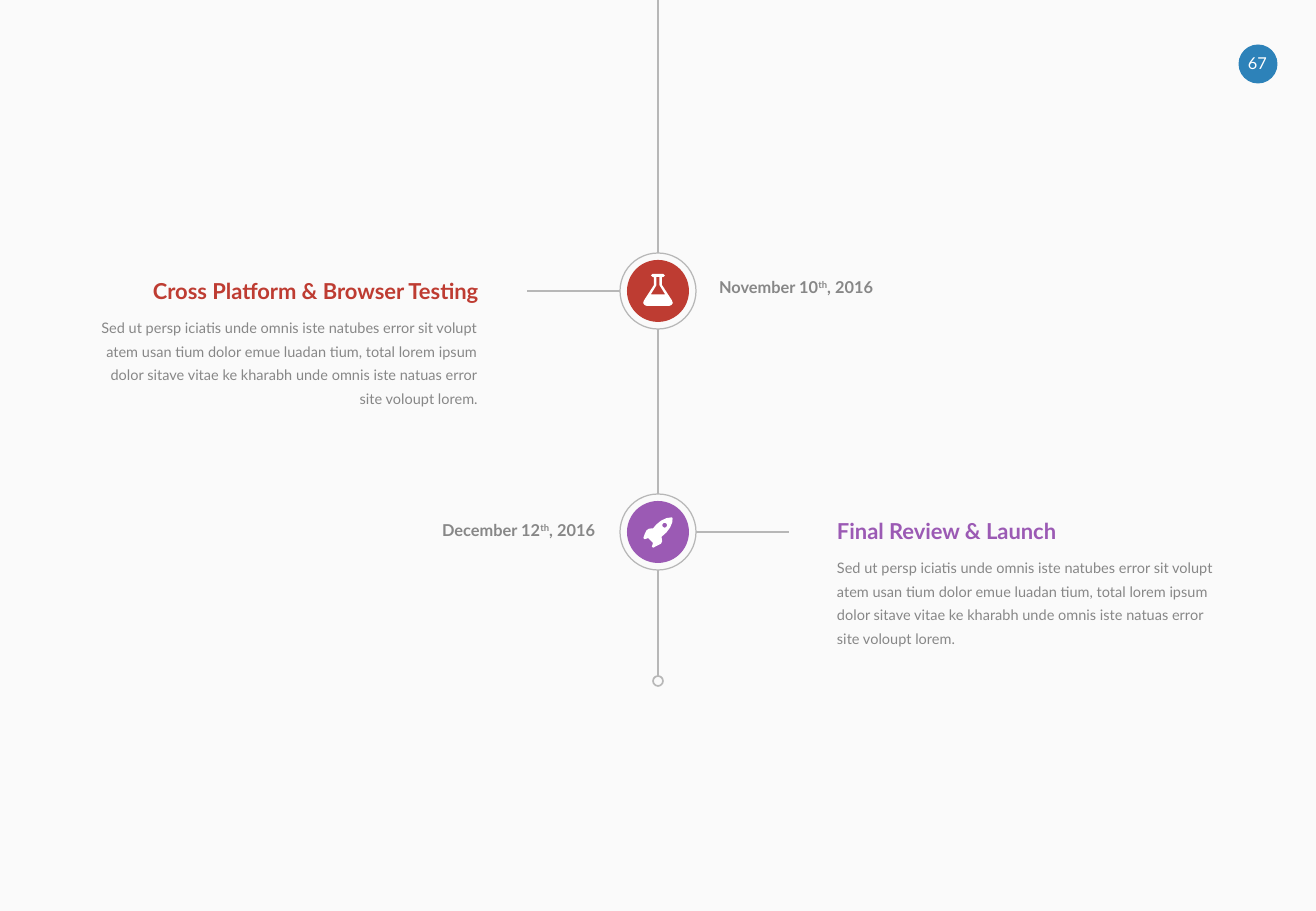
from math import cos, pi, sin

from lxml.etree import SubElement
from pptx import Presentation
from pptx.dml.color import RGBColor
from pptx.enum.shapes import MSO_CONNECTOR, MSO_SHAPE
from pptx.enum.text import PP_ALIGN
from pptx.oxml.ns import qn
from pptx.util import Pt

PX = 914400 / 121.5
COLORS = {
    "page": "FAFAFA",
    "white": "FFFFFF",
    "badge": "2D82B9",
    "line": "B7B7B7",
    "gray": "878787",
    "red": "BE3C32",
    "purple": "9B5AB4",
}
AXIS = 658
RING = 76
DISC = 62
END_DOT = 10
BODY = (
    "Sed ut persp iciatis unde omnis iste natubes error sit volupt atem usan tium "
    "dolor emue luadan tium, total lorem ipsum dolor sitave vitae ke kharabh unde "
    "omnis iste natuas error site voloupt lorem."
)


def px(length):
    return round(length * PX)


def color(name):
    return RGBColor.from_string(COLORS[name])


def mirrored(half):
    return half + [(-x, y) for x, y in reversed(half)]


FLASK = [
    mirrored([(55, -170), (70, -155), (55, -140), (40, -138), (40, -60),
              (140, 95), (148, 120), (135, 140), (115, 148)]),
    mirrored([(15, -140), (15, -60), (20, -50), (72, 35)]),
]
ROCKET = [
    [(36, 49), (85, 5), (122, -45), (143, -95), (146, -134), (140, -146),
     (85, -138), (30, -112), (-15, -75), (-49, -36), (-90, -33), (-115, -15),
     (-132, 20), (-146, 61), (-134, 73), (-97, 61), (-49, 109), (-61, 146),
     (-49, 158), (0, 133), (30, 118), (42, 95)],
    [(67 + 24 * cos(step * pi / 8), -67 + 24 * sin(step * pi / 8)) for step in range(16)],
]


class Timeline:
    def __init__(self, slide, font="Lato"):
        self.slide = slide
        self.shapes = slide.shapes
        self.font = font
        slide.background.fill.solid()
        slide.background.fill.fore_color.rgb = color("page")

    def paint(self, shape, fill=None, line=None, weight=1):
        shape.shadow.inherit = False
        if fill:
            shape.fill.solid()
            shape.fill.fore_color.rgb = color(fill)
        else:
            shape.fill.background()
        if line:
            shape.line.color.rgb = color(line)
            shape.line.width = Pt(weight)
        else:
            shape.line.fill.background()

    def circle(self, x, y, diameter, **look):
        disc = self.shapes.add_shape(
            MSO_SHAPE.OVAL, px(x - diameter / 2), px(y - diameter / 2),
            px(diameter), px(diameter))
        self.paint(disc, **look)

    def line(self, x1, y1, x2, y2):
        stroke = self.shapes.add_connector(
            MSO_CONNECTOR.STRAIGHT, px(x1), px(y1), px(x2), px(y2))
        stroke.line.color.rgb = color("line")
        stroke.line.width = Pt(1)
        SubElement(stroke._element.spPr, qn("a:effectLst"))

    def icon(self, x, y, contours):
        outline, *holes = [
            [(round(10 * x + dx), round(10 * y + dy)) for dx, dy in contour]
            for contour in contours]
        builder = self.shapes.build_freeform(*outline[0], scale=PX / 10)
        builder.add_line_segments(outline[1:], close=True)
        for hole in holes:
            builder.move_to(*hole[0])
            builder.add_line_segments(hole[1:], close=True)
        self.paint(builder.convert_to_shape(), fill="white")

    def text(self, content, x, y, width, height, size=9.7, fill="gray",
             bold=False, align=PP_ALIGN.LEFT, spacing=None):
        frame = self.shapes.add_textbox(px(x), px(y), px(width), px(height)).text_frame
        frame.word_wrap = True
        frame.margin_left = frame.margin_right = frame.margin_top = frame.margin_bottom = 0
        paragraph = frame.paragraphs[0]
        paragraph.alignment = align
        if spacing:
            paragraph.line_spacing = spacing
        for index, part in enumerate(content.split("^")):
            run = paragraph.add_run()
            run.text = part
            run.font.name = self.font
            run.font.size = Pt(size)
            run.font.bold = bold
            run.font.color.rgb = color(fill)
            if index % 2:
                run._r.get_or_add_rPr().set("baseline", "30000")

    def milestone(self, y, title, date, accent, contours, on_left, date_top, title_top):
        side = -1 if on_left else 1
        title_align, date_align = PP_ALIGN.LEFT, PP_ALIGN.RIGHT
        if on_left:
            title_align, date_align = date_align, title_align
        title_left = 94 if on_left else 837
        date_left = 719 if on_left else 382
        self.line(AXIS + side * RING / 2, y, AXIS + side * 131, y)
        self.circle(AXIS, y, RING, line="line", weight=0.75)
        self.circle(AXIS, y, DISC, fill=accent)
        self.icon(AXIS, y, contours)
        self.text(date, date_left, date_top, 213, 19, bold=True, align=date_align)
        self.text(title, title_left, title_top, 384, 27, size=13, fill=accent,
                  bold=True, align=title_align)
        self.text(BODY, title_left, title_top + 35, 384, 96, size=8.6,
                  align=title_align, spacing=1.35)


def main():
    deck = Presentation()
    deck.slide_width, deck.slide_height = px(1316), px(911)
    timeline = Timeline(deck.slides.add_slide(deck.slide_layouts[6]))

    timeline.circle(1258, 64, 39, fill="badge")
    timeline.text("67", 1241, 53, 33, 19, fill="white", align=PP_ALIGN.CENTER)

    testing, launch, finish = 291, 532, 681
    for top, bottom in ((0, testing - RING / 2),
                        (testing + RING / 2, launch - RING / 2),
                        (launch + RING / 2, finish - END_DOT / 2)):
        timeline.line(AXIS, top, AXIS, bottom)
    timeline.circle(AXIS, finish, END_DOT, line="line")

    timeline.milestone(testing, "Cross Platform & Browser Testing", "November 10^th^, 2016",
                       "red", FLASK, on_left=True, date_top=277, title_top=278)
    timeline.milestone(launch, "Final Review & Launch", "December 12^th^, 2016",
                       "purple", ROCKET, on_left=False, date_top=520, title_top=518)
    deck.save("out.pptx")


if __name__ == "__main__":
    main()
